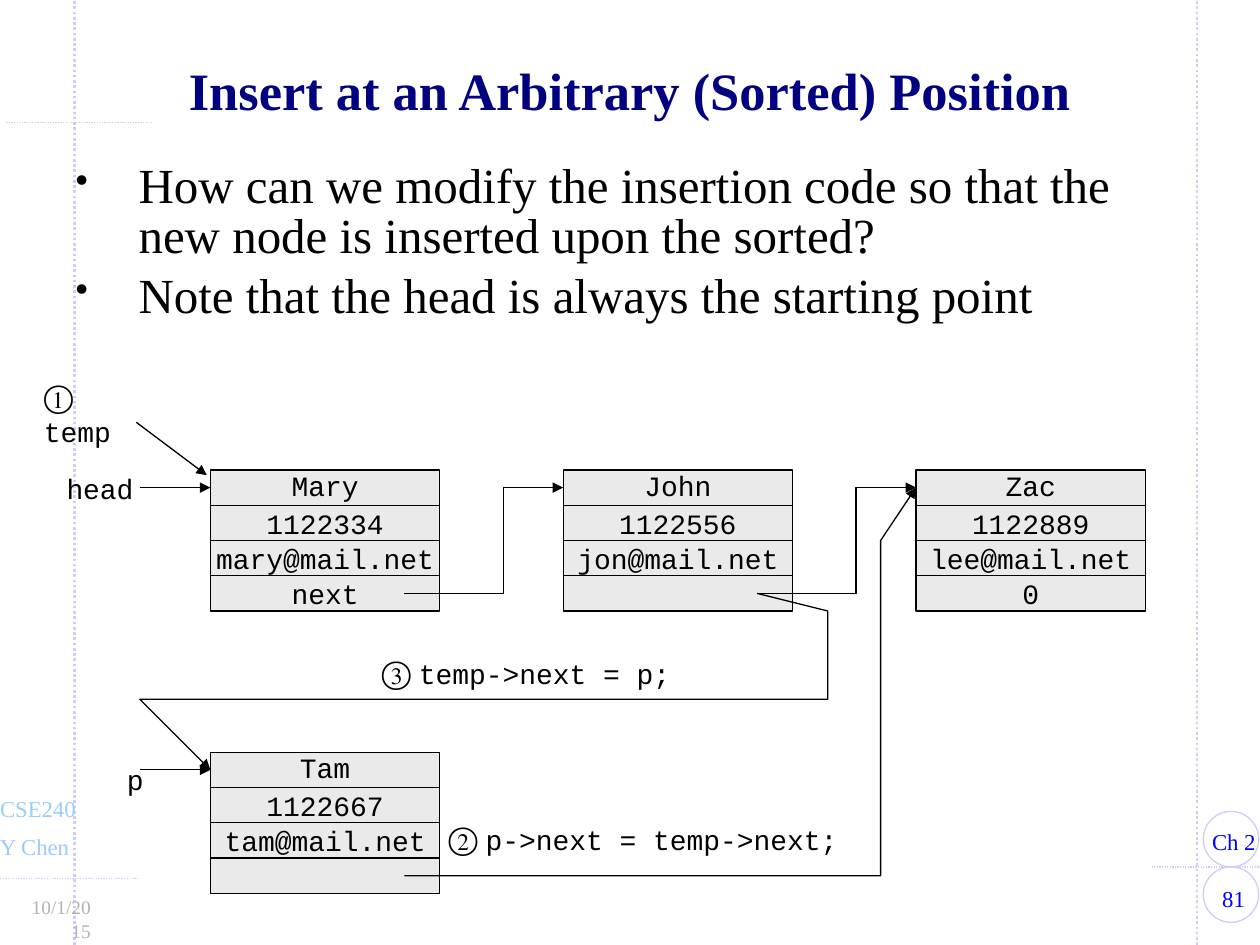
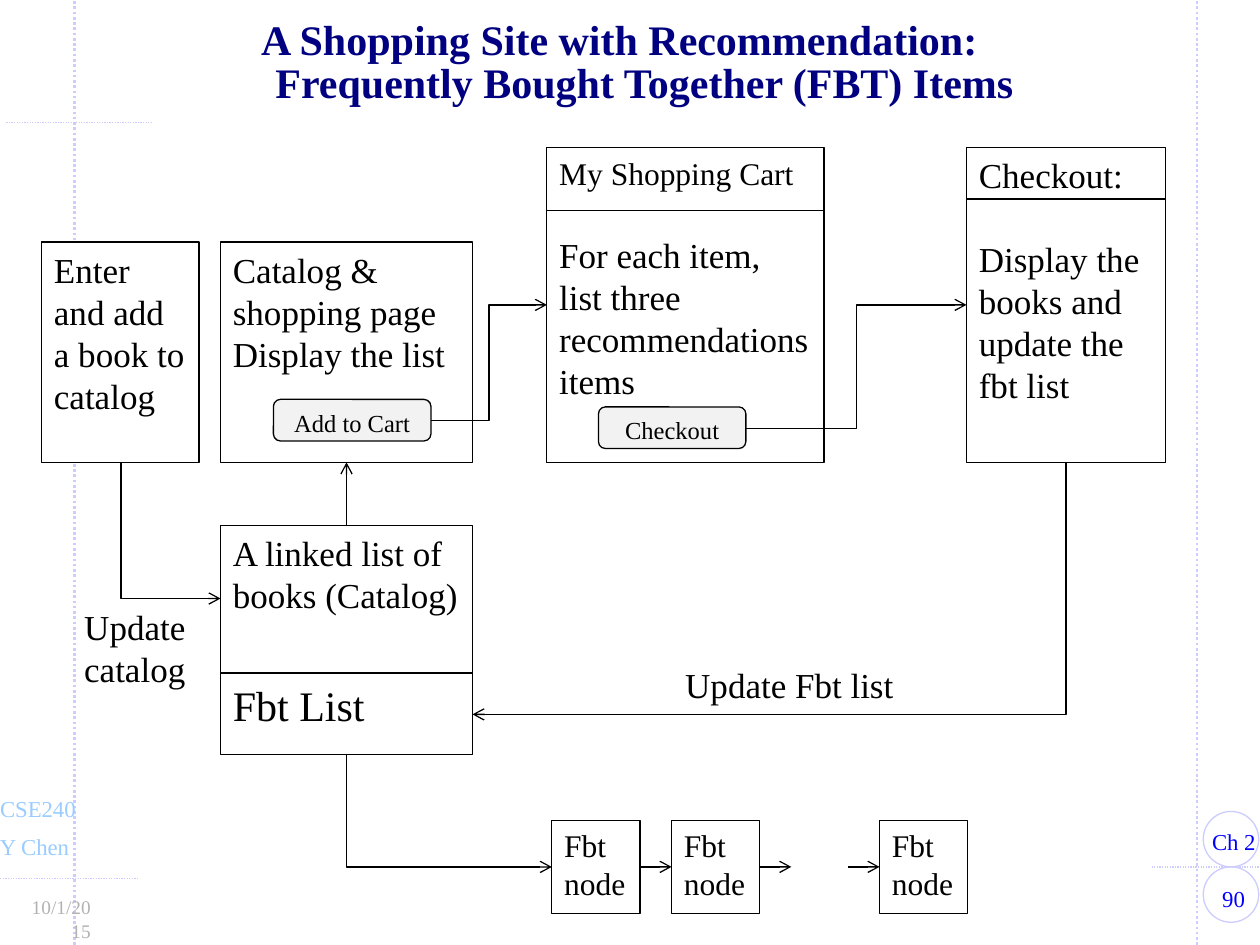
from lxml import etree
from pptx import Presentation
from pptx import util as u
from pptx.dml.color import RGBColor
from pptx.enum import dml, shapes, text
from pptx.oxml import ns

# Shared look
NAVY = RGBColor(0x00, 0x00, 0x80)
BLUE = RGBColor(0x00, 0x00, 0xFF)
SKY = RGBColor(0x99, 0xCC, 0xFF)
LAVENDER = RGBColor(0xCC, 0xCC, 0xFF)
DATE_GREY = RGBColor(0xB2, 0xB2, 0xB2)
NODE_GREY = RGBColor(0xEA, 0xEA, 0xEA)
BUTTON_GREY = RGBColor(0xF2, 0xF2, 0xF2)
BLACK = RGBColor(0, 0, 0)
WHITE = RGBColor(0xFF, 0xFF, 0xFF)
SERIF, MONO = "Times New Roman", "Courier New"
WIDTH, HEIGHT = 10, 7.5
LEFT, CENTER, RIGHT = text.PP_ALIGN.LEFT, text.PP_ALIGN.CENTER, text.PP_ALIGN.RIGHT
RECT, ROUND = shapes.MSO_SHAPE.RECTANGLE, shapes.MSO_SHAPE.ROUNDED_RECTANGLE

# Frame: dotted guides (from, to, weight), badges and footer labels
GUIDES = [
    ((0.59, HEIGHT), (0.59, 0), 1.5), ((9.5, HEIGHT), (9.5, 0), 1.5),
    ((-0.06, 6.97), (1.09, 6.97), 0.75), ((9.14, 6.88), (10.05, 6.88), 0.75),
    ((0.05, 0.97), (1.2, 0.97), 0.75),
]
BADGE, BADGE_LEFT, BADGE_TOP = 0.44, 9.55, 6.44
FOOTERS = [  # words, place, size, colour, alignment, wraps
    ("Ch 2", (9.51, 6.52, 0.56, 0.32), 13, BLUE, LEFT, False),
    ("Y Chen", (-0.11, 6.56, 0.77, 0.32), 13, SKY, LEFT, False),
    ("CSE240", (-0.11, 6.26, 0.81, 0.32), 13, SKY, LEFT, False),
    ("10/1/2015", (0.08, 7.06, 0.75, 0.29), 11, DATE_GREY, RIGHT, True),
]

# Sorted insertion: places are columns and rows of a square grid
GRID_LEFT, GRID_TOP, CELL = 1.67, 3.73, 0.28
NODE_COLUMNS = 6.5
BULLETS = [
    "How can we modify the insertion code so that the new node is inserted upon the sorted?",
    "Note that the head is always the starting point",
]
NODES = [  # column, row, fields
    (0, 0, ["Mary", "1122334", "mary@mail.net", "next"]),
    (10, 0, ["John", "1122556", "jon@mail.net", ""]),
    (20, 0, ["Zac", "1122889", "lee@mail.net", "0"]),
    (0, 8, ["Tam", "1122667", "tam@mail.net", ""]),
]
POINTERS = [  # straight arrows into nodes
    ((-2, 0.5), (0, 0.5)), ((-2, 8.5), (0, 8.5)), ((-2.1, -1.35), (-0.1, 0.15)),
]
LINKS = [  # routes of the next pointers
    [(5.5, 3.5), (8.3, 3.5), (8.3, 0.5), (10, 0.5)],
    [(15.5, 3.5), (18.3, 3.5), (18.3, 0.5), (20, 0.5)],
    [(15.5, 3.5), (17.5, 4), (17.5, 6.5), (-2, 6.5), (0, 8.5)],
    [(5.5, 11.5), (19, 11.5), (19, 2), (20, 0.5)],
]
CODE_LABELS = [  # step mark, code, place, wraps
    ("", "head", (0.43, 3.69, 0.74, 0.37), False),
    ("", "p", (0.91, 6, 0.34, 0.37), False),
    ("① ", "temp", (0.25, 2.94, 1, 0.68), True),
    ("③ ", "temp->next = p;", (2.93, 5.13, 2.49, 0.4), False),
    ("② ", "p->next = temp->next;", (3.46, 6.45, 3.29, 0.4), False),
]

# Shopping site: panels hold (words, size) paragraphs; a gap follows a heading
PANELS = [
    ((0.33, 1.92, 1.25, 1.75), [("Enter and add a book to catalog", 20)], 0),
    ((1.75, 1.92, 2, 1.75), [("Catalog & shopping page", 20), ("Display the list", 20)], 0),
    ((1.75, 4.17, 2, 1.17), [("A linked list of books (Catalog)", 20)], 0),
    ((1.75, 5.34, 2, 0.65), [("Fbt List", 24)], 0),
    ((4.34, 1.17, 2.2, 2.5), [("My Shopping Cart", 18),
     ("For each item, list three recommendations items", 20)], 24),
    ((7.67, 1.17, 1.58, 2.5), [("Checkout:", 20),
     ("Display the books and update the fbt list", 20)], 24),
]
BUTTONS = [("Add to Cart", (2.17, 3.17, 1.25, 0.33)), ("Checkout", (4.75, 3.23, 1.17, 0.33))]
CAPTIONS = [("Update Fbt list", (5.34, 5.22, 2, 0.44)),
            ("Update catalog", (0.57, 4.76, 1.02, 0.77))]
HEADING_RULES = [((4.34, 1.67), (6.54, 1.67)), ((7.67, 1.58), (9.25, 1.58))]
ELBOWS = [((3.42, 3.34), (4.34, 2.42)), ((5.92, 3.4), (7.67, 2.42))]
CORNERS = [  # down, then across
    ((0.96, 3.67), (1.75, 4.75)), ((8.46, 3.67), (3.75, 5.67)), ((2.75, 5.99), (4.38, 6.88)),
]
FBT_LEFTS, FBT_MIDDLE, FBT_WIDTH, FBT_HEIGHT = (4.38, 5.33, 6.98), 6.88, 0.7, 0.74
FBT_ARROW_STARTS, FBT_ARROW = (5.08, 6.03, 6.73), 0.25


def inches(values):
    return [u.Inches(value) for value in values]


def on_grid(point):
    column, row = point
    return GRID_LEFT + column * CELL, GRID_TOP + row * CELL


def set_font(font, name, size, colour, bold=False):
    font.name, font.size, font.bold = name, u.Pt(size), bold
    font.color.rgb = colour


def style_line(shape, colour=BLACK, weight=0.75, head=None, dotted=False):
    shape.line.color.rgb = colour
    shape.line.width = u.Pt(weight)
    if dotted:
        shape.line.dash_style = dml.MSO_LINE.ROUND_DOT
    if head:
        outline = shape.element.spPr.find(ns.qn("a:ln"))
        etree.SubElement(outline, ns.qn("a:tailEnd"), type=head)


def add_line(page, start, end, elbow=False, **style):
    kind = shapes.MSO_CONNECTOR.ELBOW if elbow else shapes.MSO_CONNECTOR.STRAIGHT
    line = page.shapes.add_connector(kind, *inches(start + end))
    style_line(line, **style)
    etree.SubElement(line.element.spPr, ns.qn("a:effectLst"))


def add_route(page, points, head):
    points = [tuple(inches(point)) for point in points]
    builder = page.shapes.build_freeform(*points[0], scale=1.0)
    builder.add_line_segments(points[1:], close=False)
    route = builder.convert_to_shape()
    route.shadow.inherit = False
    route.fill.background()
    style_line(route, head=head)


def add_shape(page, kind, place, fill=None, colour=BLACK):
    shape = page.shapes.add_shape(kind, *inches(place))
    shape.shadow.inherit = False
    if fill is None:
        shape.fill.background()
    else:
        shape.fill.solid()
        shape.fill.fore_color.rgb = fill
    style_line(shape, colour)
    return shape


def add_box(page, place, wrap=True, side=0.1):
    box = page.shapes.add_textbox(*inches(place))
    frame = box.text_frame
    frame.word_wrap = wrap
    frame.margin_left = u.Inches(side)
    # One-line labels get the right margin as spare room
    frame.margin_right = u.Inches(side if wrap else 0)
    return frame


def write(frame, paragraphs, name=SERIF, colour=BLACK, align=LEFT, gap=0, bold=False):
    frame.text = "\n".join(words for words, size in paragraphs)
    for index, (para, (words, size)) in enumerate(zip(frame.paragraphs, paragraphs)):
        para.alignment = align
        if index and gap:
            para.space_before = u.Pt(gap)
        set_font(para.font, name, size, colour, bold)


def hang(para, indent):
    properties = para._p.get_or_add_pPr()
    properties.set("marL", str(u.Inches(indent)))
    properties.set("indent", str(-u.Inches(indent)))
    para.line_spacing = 0.85
    return properties


def add_page(deck, number, title, place, size):
    page = deck.slides.add_slide(deck.slide_layouts[6])
    for start, end, weight in GUIDES:
        add_line(page, start, end, colour=LAVENDER, weight=weight, dotted=True)
    for row in range(2):
        add_shape(page, shapes.MSO_SHAPE.OVAL,
                  (BADGE_LEFT, BADGE_TOP + row * BADGE, BADGE, BADGE), colour=LAVENDER)
    page_label = (str(number), (9.5, 6.97, 0.58, 0.32), 13, BLUE, CENTER, True)
    for words, spot, points, colour, align, wrap in FOOTERS + [page_label]:
        write(add_box(page, spot, wrap, 0.11), [(words, points)], colour=colour, align=align)
    frame = add_box(page, place, side=0.11)
    frame.vertical_anchor = text.MSO_ANCHOR.MIDDLE
    write(frame, [(title, size)], colour=NAVY, align=CENTER, bold=True)
    hang(frame.paragraphs[0], 0.4)
    return page


def add_bullets(page, place):
    frame = add_box(page, place, side=0.11)
    frame.text = "\n".join(BULLETS)
    for index, para in enumerate(frame.paragraphs):
        properties = hang(para, 0.5)
        if index:
            para.space_before = u.Pt(5.6)
        tint = etree.SubElement(properties, ns.qn("a:buClr"))
        etree.SubElement(tint, ns.qn("a:srgbClr"), val=str(BLACK))
        etree.SubElement(properties, ns.qn("a:buSzPct"), val="75000")
        etree.SubElement(properties, ns.qn("a:buChar"), char="•")
        set_font(para.font, SERIF, 28, BLACK)


def build_insertion(deck):
    page = add_page(deck, 81, "Insert at an Arbitrary (Sorted) Position",
                    (0.73, 0.44, 8.54, 0.62), 30)
    add_bullets(page, (0.49, 1.25, 9, 1.39))
    # Linked nodes
    for column, row, fields in NODES:
        for index, field in enumerate(fields):
            place = on_grid((column, row + index)) + (NODE_COLUMNS * CELL, CELL)
            cell = add_shape(page, RECT, place, NODE_GREY)
            if field:
                frame = cell.text_frame
                frame.word_wrap = False
                frame.vertical_anchor = text.MSO_ANCHOR.MIDDLE
                write(frame, [(field, 16)], MONO, align=CENTER)
                if index == 0:
                    frame.paragraphs[0].line_spacing = 0.9
    # Pointers and their code
    for start, end in POINTERS:
        add_line(page, on_grid(start), on_grid(end), head="triangle")
    for route in LINKS:
        add_route(page, [on_grid(point) for point in route], "triangle")
    for mark, code, place, wrap in CODE_LABELS:
        para = add_box(page, place, wrap).paragraphs[0]
        for words, name, size in ((mark, SERIF, 18), (code, MONO, 16)):
            if words:
                span = para.add_run()
                span.text = words
                set_font(span.font, name, size, BLACK)


def build_shop(deck):
    page = add_page(deck, 90, "A Shopping Site with Recommendation:\v"
                    "Frequently Bought Together (FBT) Items", (1.04, 0.17, 7.75, 0.68), 24)
    # Panels, list nodes, buttons and captions
    fbt_nodes = [((left, FBT_MIDDLE - FBT_HEIGHT / 2, FBT_WIDTH, FBT_HEIGHT),
                  [("Fbt node", 18)], 0) for left in FBT_LEFTS]
    for place, paragraphs, gap in PANELS + fbt_nodes:
        panel = add_shape(page, RECT, place, WHITE)
        panel.text_frame.vertical_anchor = text.MSO_ANCHOR.TOP
        write(panel.text_frame, paragraphs, gap=gap)
    for words, place in BUTTONS:
        button = add_shape(page, ROUND, place, BUTTON_GREY)
        button.text_frame.vertical_anchor = text.MSO_ANCHOR.TOP
        write(button.text_frame, [(words, 14)], align=CENTER)
    for words, place in CAPTIONS:
        write(add_box(page, place), [(words, 20)])
    # Rules and flow arrows
    for start, end in HEADING_RULES:
        add_line(page, start, end)
    for start, end in ELBOWS:
        add_line(page, start, end, elbow=True, head="arrow")
    for start, end in CORNERS:
        add_route(page, [start, (start[0], end[1]), end], "arrow")
    add_line(page, (2.75, 4.17), (2.75, 3.67), head="arrow")
    for left in FBT_ARROW_STARTS:
        add_line(page, (left, FBT_MIDDLE), (left + FBT_ARROW, FBT_MIDDLE), head="arrow")


def main():
    deck = Presentation()
    deck.slide_width, deck.slide_height = inches((WIDTH, HEIGHT))
    build_insertion(deck)
    build_shop(deck)
    deck.save("out.pptx")


if __name__ == "__main__":
    main()
